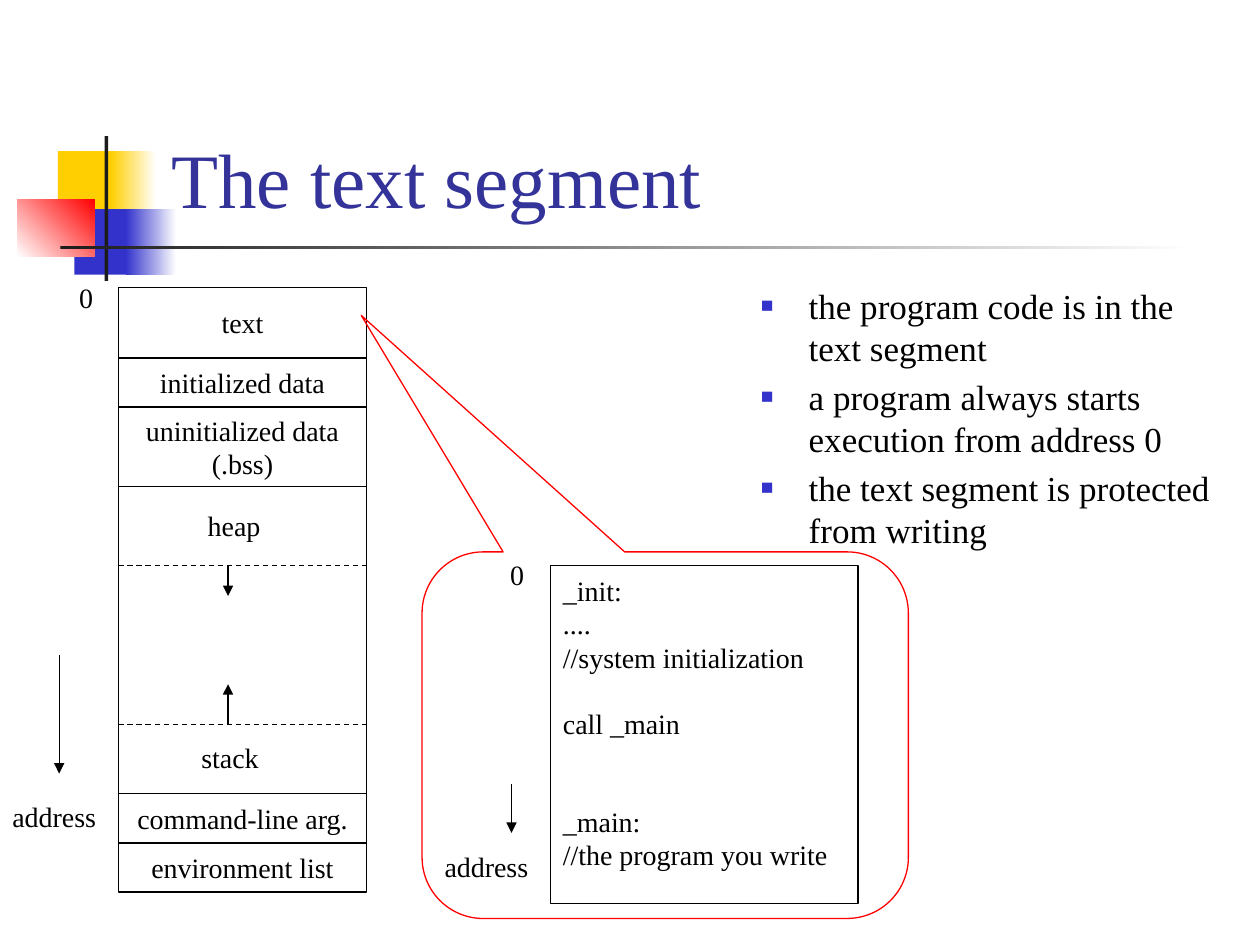
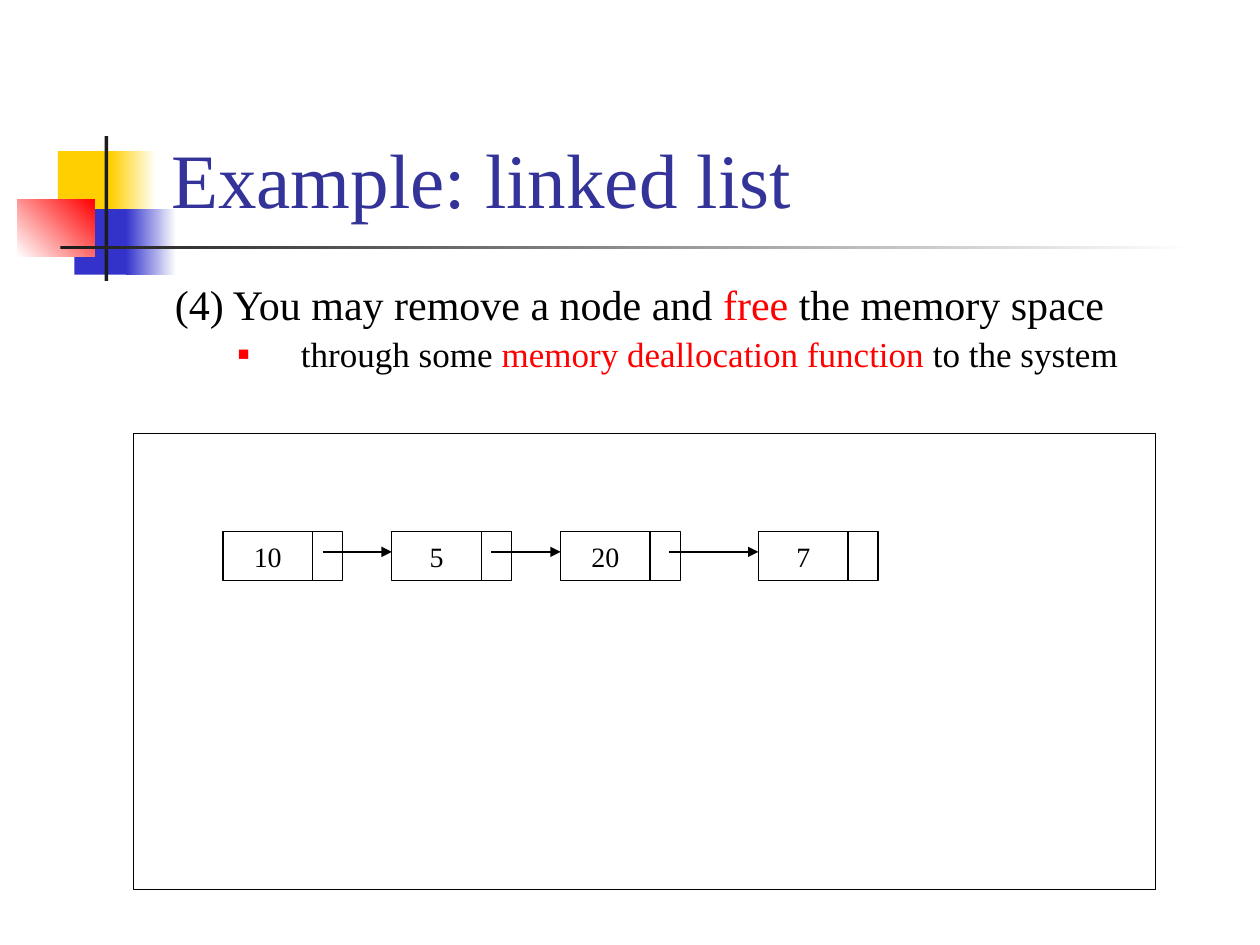
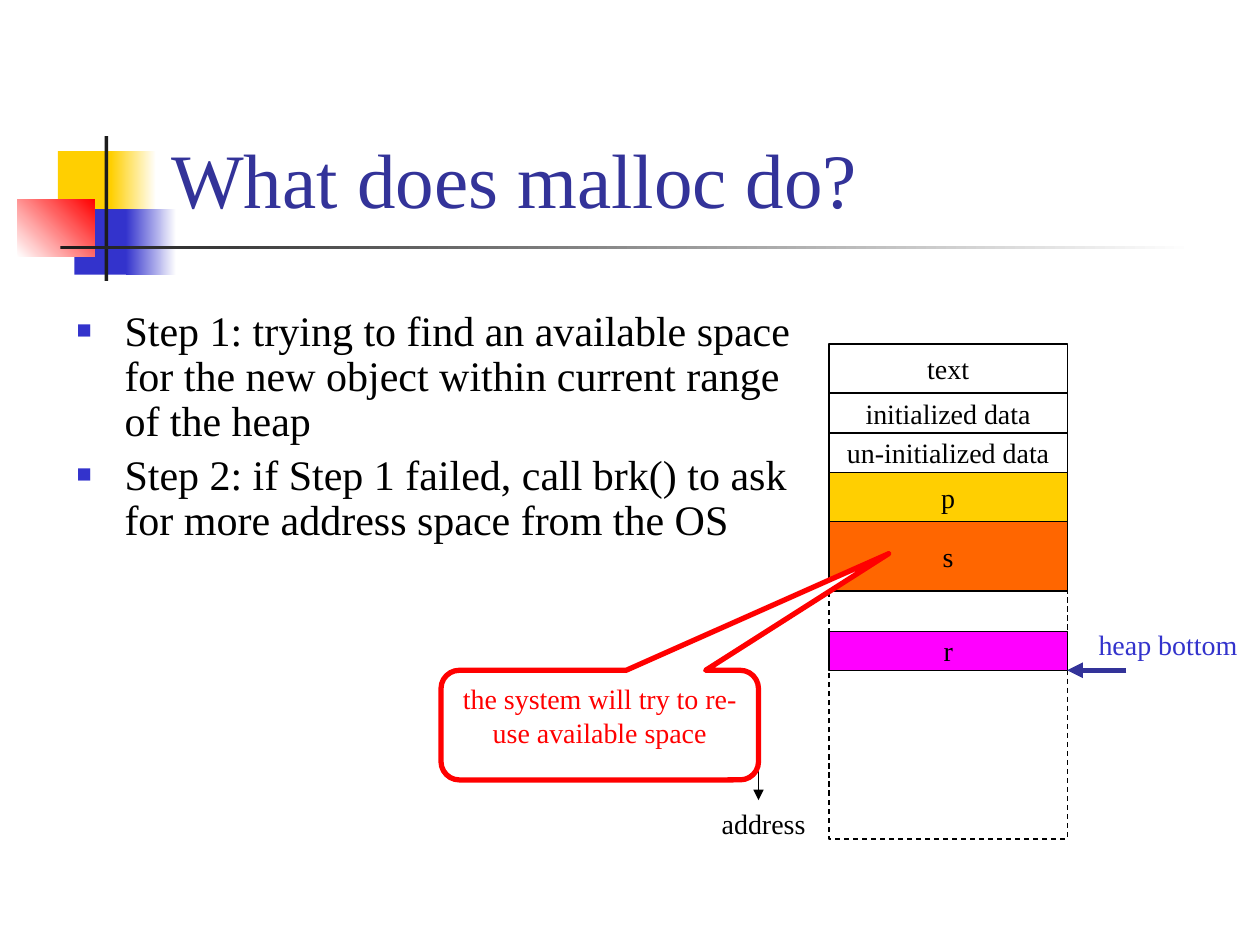
from lxml.etree import SubElement
from pptx import Presentation
from pptx.dml.color import RGBColor
from pptx.enum.dml import MSO_LINE
from pptx.enum.shapes import MSO_CONNECTOR, MSO_SHAPE
from pptx.enum.text import MSO_ANCHOR, MSO_AUTO_SIZE, PP_ALIGN
from pptx.oxml.ns import qn
from pptx.util import Inches, Pt

FONT = "Times New Roman"
HEX = {
    "black": "000000", "white": "FFFFFF", "title": "333399", "blue": "3333CC",
    "yellow": "FFCF01", "red": "FF0000", "dark": "1C1C1C",
    "orange": "FF6600", "magenta": "FF00FF",
}
COLOR = {name: RGBColor.from_string(value) for name, value in HEX.items()}


def add_box(page, place, lines=(), fill=None, line="black", width=0.75,
            kind=MSO_SHAPE.RECTANGLE, color="black", align=PP_ALIGN.CENTER,
            anchor=MSO_ANCHOR.MIDDLE, wrap=False):
    """Add a shape with 16 pt text lines; fill and line are colour names."""
    box = page.shapes.add_shape(kind, *map(Inches, place))
    box.shadow.inherit = False
    if fill:
        box.fill.solid()
        box.fill.fore_color.rgb = COLOR[fill]
    else:
        box.fill.background()
    if line:
        box.line.color.rgb = COLOR[line]
        box.line.width = Pt(width)
    else:
        box.line.fill.background()
    frame = box.text_frame
    frame.word_wrap = wrap
    frame.vertical_anchor = anchor
    for index, text in enumerate(lines):
        para = frame.add_paragraph() if index else frame.paragraphs[0]
        para.text = text
        para.alignment = align
        para.font.size = Pt(16)
        para.font.name = FONT
        para.font.color.rgb = COLOR[color]
    return box


def add_line(page, start, end, arrow=True, color="black", width=0.75):
    """Add a straight arrow, or a dashed line when arrow is False."""
    connector = page.shapes.add_connector(
        MSO_CONNECTOR.STRAIGHT, *map(Inches, (*start, *end)))
    connector.line.color.rgb = COLOR[color]
    connector.line.width = Pt(width)
    if arrow:
        outline = connector._element.find(".//" + qn("a:ln"))
        SubElement(outline, qn("a:tailEnd"), type="triangle")
    else:
        connector.line.dash_style = MSO_LINE.DASH
    SubElement(connector._element.spPr, qn("a:effectLst"))


deck = Presentation()
deck.slide_width, deck.slide_height = Inches(10), Inches(7.5)

# Shared decoration: place, colour or gradient pair, gradient angle
ornaments = [
    ((0.46, 1.2, 0.48, 0.52), ["yellow"], 0),
    ((0.88, 1.2, 0.36, 0.52), ["yellow", "white"], 0),
    ((0.59, 1.66, 0.46, 0.52), ["blue"], 0),
    ((1, 1.66, 0.4, 0.52), ["blue", "white"], 0),
    ((0.14, 1.58, 0.61, 0.46), ["white", "red"], 45),
    ((0.83, 1.08, 0.03, 1.15), ["dark"], 0),
    ((0.48, 1.95, 9, 0.03), ["dark", "white"], 0),
]

# Paragraph styles: size, left margin, first-line indent, bullet colour, bullet size
point_small = (20, 0.38, -0.38, "blue", 60)
point_large = (24, 0.38, -0.38, "blue", 60)
numbered = (24, 0.58, -0.58, None, None)
sub_point = (20, 1, -0.5, "red", 55)

# Title, body place, line spacing, paragraphs of (style, runs); odd runs are red
contents = [
    ("The text segment", (5.94, 2.21, 3.85, 4.5), 1, [
        (point_small, ["the program code is in the text segment"]),
        (point_small, ["a program always starts execution from address 0"]),
        (point_small, ["the text segment is protected from writing"]),
    ]),
    ("Example: linked list", (1.29, 2.21, 8.5, 0.99), 0.9, [
        (numbered, ["(4) You may remove a node and ", "free", " the memory space"]),
        (sub_point, ["through some ", "memory deallocation function",
                     " to the system"]),
    ]),
    ("What does malloc do?", (0.51, 2.41, 5.98, 2.2), 0.9, [
        (point_large, ["Step 1: trying to find an available space for the new "
                       "object within current range of the heap"]),
        (point_large, ["Step 2: if Step 1 failed, call brk() to ask for more "
                       "address space from the OS"]),
    ]),
]

# Title, decoration and body text of every slide
pages = []
for title_text, place, spacing, paragraphs in contents:
    page = deck.slides.add_slide(deck.slide_layouts[5])
    pages.append(page)
    for ornament_place, colors, angle in ornaments:
        ornament = add_box(page, ornament_place, fill=colors[0], line=None)
        if len(colors) == 2:
            ornament.fill.gradient()
            ornament.fill.gradient_angle = angle
            for stop, name in zip(ornament.fill.gradient_stops, colors):
                stop.color.rgb = COLOR[name]

    title = page.shapes.title
    title.left, title.top, title.width, title.height = map(
        Inches, (1.26, 0.23, 8.52, 1.6))
    title.text_frame.text = title_text
    title.text_frame.auto_size = MSO_AUTO_SIZE.NONE
    title.text_frame.vertical_anchor = MSO_ANCHOR.BOTTOM
    para = title.text_frame.paragraphs[0]
    para.alignment = PP_ALIGN.LEFT
    para.font.size = Pt(44)
    para.font.name = FONT
    para.font.color.rgb = COLOR["title"]

    body = page.shapes.add_textbox(*map(Inches, place)).text_frame
    body.word_wrap = True
    for index, (style, runs) in enumerate(paragraphs):
        size, margin, indent, bullet_color, bullet_size = style
        para = body.add_paragraph() if index else body.paragraphs[0]
        properties = para._p.get_or_add_pPr()
        properties.set("marL", str(Inches(margin)))
        properties.set("indent", str(Inches(indent)))
        if bullet_color:
            bullet = SubElement(properties, qn("a:buClr"))
            SubElement(bullet, qn("a:srgbClr"), val=HEX[bullet_color])
            SubElement(properties, qn("a:buSzPct"), val=str(bullet_size * 1000))
            SubElement(properties, qn("a:buFont"), typeface=FONT)
            SubElement(properties, qn("a:buChar"), char="■")
        para.line_spacing = spacing
        if index:
            para.space_before = Pt(size * 0.2)
        para.font.size = Pt(size)
        para.font.name = FONT
        para.font.color.rgb = COLOR["black"]
        for number, text in enumerate(runs):
            span = para.add_run()
            span.text = text
            if number % 2:
                span.font.color.rgb = COLOR["red"]

segment_page, list_page, malloc_page = pages

# Slide 1: memory layout
top = 2.28
for height, lines in [(0.56, ["text"]), (0.39, ["initialized data"]),
                      (0.63, ["uninitialized data", "(.bss)"]), (2.44, []),
                      (0.39, ["command-line arg."]), (0.39, ["environment list"])]:
    add_box(segment_page, (0.94, top, 1.97, height), lines)
    top += height
for border, tip in [(4.49, 4.73), (5.75, 5.43)]:
    add_line(segment_page, (0.94, border), (2.91, border), arrow=False)
    add_line(segment_page, (1.81, border), (1.81, tip))
add_line(segment_page, (0.47, 5.2), (0.47, 6.14))

# Slide 1: callout with the code in the text segment
callout = add_box(segment_page, (3.35, 4.38, 3.86, 2.91), line="red",
                  kind=MSO_SHAPE.ROUNDED_RECTANGULAR_CALLOUT)
for index, value in enumerate((-0.625, -1.145, 0.167)):
    callout.adjustments[index] = value
code = add_box(segment_page, (4.37, 4.49, 2.44, 2.68),
               ["_init:", "....", "//system initialization", "call _main",
                "_main:", "//the program you write"],
               align=PP_ALIGN.LEFT, anchor=MSO_ANCHOR.TOP)
code.text_frame.margin_top = Inches(0.06)
for index, skipped_lines in [(3, 1), (4, 2)]:
    code.text_frame.paragraphs[index].space_before = Pt(18.4 * skipped_lines)
add_line(segment_page, (4.06, 6.22), (4.06, 6.61))

# Slide 2: linked list in its frame
add_box(list_page, (1.06, 3.44, 8.11, 3.62))
node_lefts = [1.77, 3.11, 4.45, 6.02]
for left, value in zip(node_lefts, ["10", "5", "20", "7"]):
    add_box(list_page, (left, 4.22, 0.71, 0.39), [value])
    add_box(list_page, (left + 0.71, 4.22, 0.24, 0.39))
for start, end in zip([2.56, 3.9, 5.31], node_lefts[1:]):
    add_line(list_page, (start, 4.38), (end, 4.38))

# Slide 3: memory layout with heap objects
heap = add_box(malloc_page, (6.58, 3.75, 1.89, 2.91))
heap.line.dash_style = MSO_LINE.DASH
for top, height, text, fill in [
        (2.73, 0.39, "text", None), (3.12, 0.32, "initialized data", None),
        (3.43, 0.32, "un-initialized data", None), (3.75, 0.39, "p", "yellow"),
        (4.14, 0.55, "s", "orange"), (5.01, 0.31, "r", "magenta")]:
    add_box(malloc_page, (6.58, top, 1.89, height), [text], fill=fill)
add_line(malloc_page, (6.02, 5.88), (6.02, 6.35))
add_line(malloc_page, (8.94, 5.32), (8.47, 5.32), color="title", width=3)

# Slide 3: callout on the free space
callout = add_box(malloc_page, (3.5, 5.32, 2.52, 0.87),
                  ["the system will try to re-use available space"],
                  fill="white", line="red", width=3, color="red",
                  kind=MSO_SHAPE.ROUNDED_RECTANGULAR_CALLOUT,
                  anchor=MSO_ANCHOR.TOP, wrap=True)
for index, value in enumerate((0.91, -1.564, 0.167)):
    callout.adjustments[index] = value

# Free labels of the diagrams
for page, left, top, width, text, color in [
        (segment_page, 1.55, 3.99, 0.62, "heap", "black"),
        (segment_page, 1.5, 5.83, 0.66, "stack", "black"),
        (segment_page, 0.53, 2.18, 0.31, "0", "black"),
        (segment_page, 0, 6.3, 0.87, "address", "black"),
        (segment_page, 3.95, 4.38, 0.31, "0", "black"),
        (segment_page, 3.43, 6.69, 0.87, "address", "black"),
        (malloc_page, 5.63, 6.35, 0.87, "address", "black"),
        (malloc_page, 8.62, 4.93, 1.31, "heap bottom", "blue")]:
    add_box(page, (left, top, width, 0.37), [text], line=None, color=color,
            align=PP_ALIGN.LEFT, anchor=MSO_ANCHOR.TOP)

deck.save("out.pptx")
